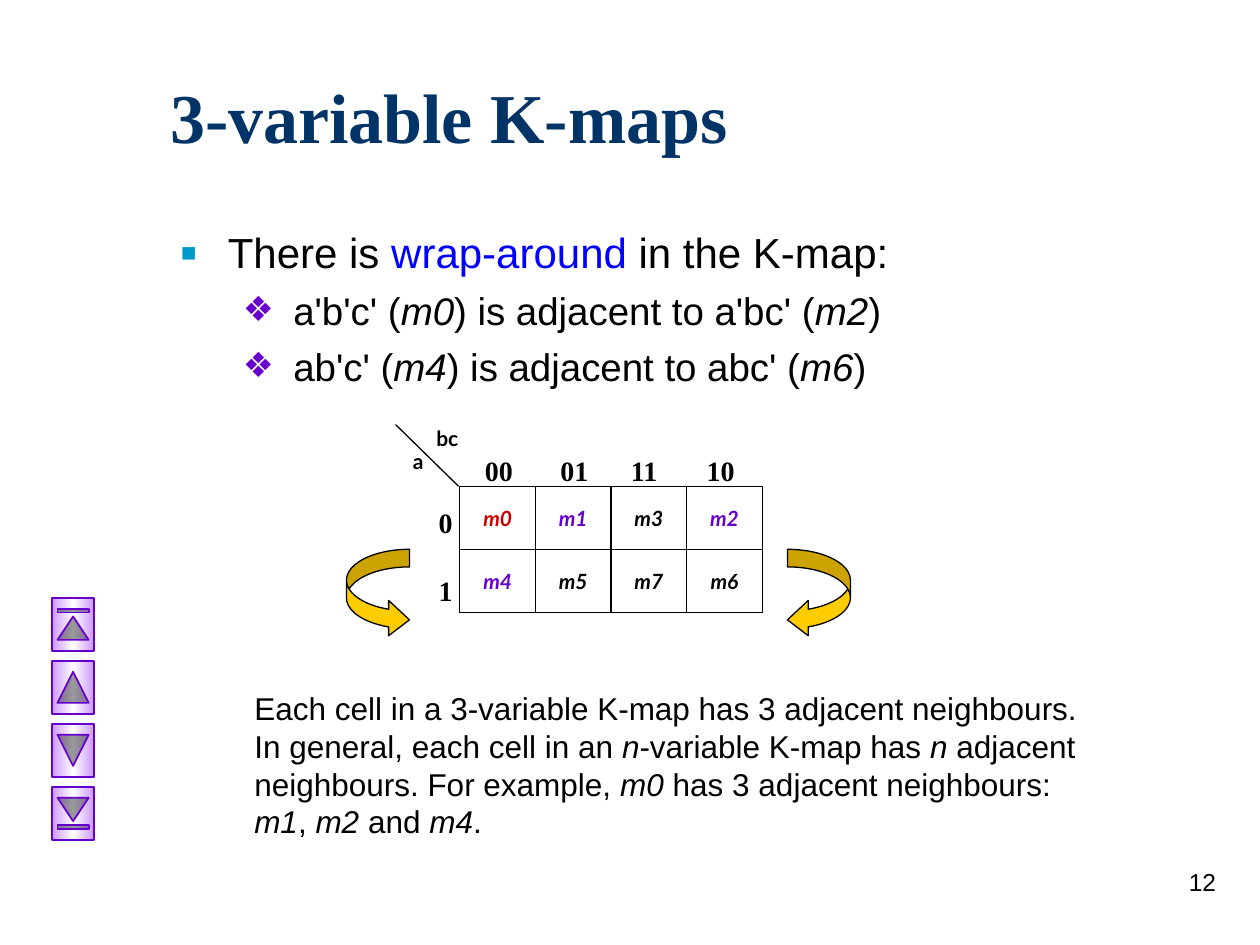
"""Build the slide on wrap-around in 3-variable K-maps."""
from copy import deepcopy
from dataclasses import dataclass

from lxml import etree
from pptx import Presentation
from pptx.dml.color import RGBColor
from pptx.enum.shapes import MSO_CONNECTOR, MSO_SHAPE
from pptx.enum.text import MSO_ANCHOR, MSO_AUTO_SIZE, PP_ALIGN
from pptx.oxml.ns import qn
from pptx.util import Pt

EMU_PER_PX = 9144
LEFT, CENTER, RIGHT = PP_ALIGN.LEFT, PP_ALIGN.CENTER, PP_ALIGN.RIGHT
MIDDLE, NO_FIT = MSO_ANCHOR.MIDDLE, MSO_AUTO_SIZE.NONE
STRAIGHT = MSO_CONNECTOR.STRAIGHT
RECT = MSO_SHAPE.RECTANGLE
ARROWS = (MSO_SHAPE.CURVED_RIGHT_ARROW, MSO_SHAPE.CURVED_LEFT_ARROW)
BUTTONS = (MSO_SHAPE.ACTION_BUTTON_BEGINNING, MSO_SHAPE.ACTION_BUTTON_BACK_OR_PREVIOUS,
           MSO_SHAPE.ACTION_BUTTON_FORWARD_OR_NEXT, MSO_SHAPE.ACTION_BUTTON_END)
TOP_SIDE, LEFT_SIDE, BOTTOM_SIDE, RIGHT_SIDE = range(4)


@dataclass(frozen=True)
class Theme:
    """Fonts, colours and type sizes of the slide."""
    serif: str = "Times New Roman"
    sans: str = "Arial"
    label: str = "Lato"
    navy: str = "003366"
    ink: str = "000000"
    blue: str = "0000FF"
    teal: str = "0099CC"
    purple: str = "6600CC"
    lilac: str = "CC99FF"
    white: str = "FFFFFF"
    red: str = "CC0000"
    gold: str = "FFCC00"
    title: int = 40
    body: int = 24
    sub: int = 22
    note: int = 18
    axis: int = 16
    number: int = 14
    cell: int = 12


def px(n):
    """Turn px into EMU."""
    return n * EMU_PER_PX


def rgb(color):
    """Turn a hex string into a colour."""
    return RGBColor.from_string(color)


class SlideBuilder:
    """Holds the theme and the current slide."""

    def __init__(self, s, theme):
        self.s, self.t = s, theme

    def style(self, p, font, size, color, bold=False, italic=False, align=LEFT):
        """Format a paragraph and all its runs."""
        p.alignment = align
        for r in p.runs:
            r.font.name, r.font.size = font, Pt(size)
            r.font.bold, r.font.italic = bold, italic
            r.font.color.rgb = rgb(color)

    def rich(self, p, marked, size, accent=None):
        """Write text whose *marked* parts are italic, or in the accent colour."""
        for i, part in enumerate(marked.split("*")):
            p.add_run().text = part
        self.style(p, self.t.sans, size, self.t.ink)
        for r in p.runs[1::2]:
            if accent:
                r.font.color.rgb = rgb(accent)
            else:
                r.font.italic = True

    def title(self, text, x, y, w, h):
        """Place and fill the title placeholder."""
        sp = self.s.shapes.title
        sp.left, sp.top, sp.width, sp.height = map(px, (x, y, w, h))
        tf = sp.text_frame
        tf.text = text
        tf.auto_size, tf.vertical_anchor = NO_FIT, MIDDLE
        self.style(tf.paragraphs[0], self.t.serif, self.t.title, self.t.navy, bold=True)

    def box(self, x, y, w, h):
        """Add a wrapping text box and return its frame."""
        tf = self.s.shapes.add_textbox(*map(px, (x, y, w, h))).text_frame
        tf.word_wrap = True
        return tf

    def text(self, text, x, y, w, h, **style):
        """Add a text box in one style and return its frame."""
        tf = self.box(x, y, w, h)
        tf.text = text
        for p in tf.paragraphs:
            self.style(p, **style)
        return tf

    def bullet(self, p, char, color, percent, left, hang):
        """Give a paragraph a coloured bullet with a hanging indent."""
        pPr = p._p.get_or_add_pPr()
        pPr.set("marL", str(px(left)))
        pPr.set("indent", str(-px(hang)))
        clr = etree.SubElement(pPr, qn("a:buClr"))
        etree.SubElement(clr, qn("a:srgbClr"), val=color)
        etree.SubElement(pPr, qn("a:buSzPct"), val=str(percent * 1000))
        etree.SubElement(pPr, qn("a:buFont"), typeface=self.t.sans)
        etree.SubElement(pPr, qn("a:buChar"), char=char)

    def tabs(self, p, stops):
        """Set left tab stops on a paragraph."""
        tab_list = etree.SubElement(p._p.get_or_add_pPr(), qn("a:tabLst"))
        for stop in stops:
            etree.SubElement(tab_list, qn("a:tab"), pos=str(px(stop)), algn="l")

    def shape(self, kind, x, y, w, h, line, width=0.75, fill=None):
        """Add a preset shape, unfilled unless a fill is given."""
        sp = self.s.shapes.add_shape(kind, *map(px, (x, y, w, h)))
        sp.shadow.inherit = False
        sp.line.color.rgb, sp.line.width = rgb(line), Pt(width)
        if fill:
            sp.fill.solid()
            sp.fill.fore_color.rgb = rgb(fill)
        else:
            sp.fill.background()
        return sp

    def button(self, kind, x, y, w, h):
        """Add a navigation button turned by 90 degrees."""
        sp = self.shape(kind, x, y, w, h, self.t.purple, 1)
        sp.rotation = 90
        sp.fill.gradient()
        sp.fill.gradient_angle = 90
        first = sp.fill._xPr.find(qn("a:gradFill")).find(qn("a:gsLst"))[0]
        first.addnext(deepcopy(first))
        colors = (self.t.lilac, self.t.white, self.t.lilac)
        for stop, color, position in zip(sp.fill.gradient_stops, colors, (0, 0.5, 1)):
            stop.color.rgb, stop.position = rgb(color), position

    def line(self, x1, y1, x2, y2):
        """Add a thin straight line."""
        c = self.s.shapes.add_connector(STRAIGHT, *map(px, (x1, y1, x2, y2)))
        c.line.color.rgb, c.line.width = rgb(self.t.ink), Pt(0.75)
        etree.SubElement(c._element.spPr, qn("a:effectLst"))
        return c

    def kmap(self, x, y, col_w, row_h, rows):
        """Draw the map's grid and its minterms."""
        w, h = col_w * len(rows[0]), row_h * len(rows)
        frame = self.shape(RECT, x, y, w, h, self.t.ink)
        across = self.line(x, y + row_h, x + w, y + row_h)
        across.begin_connect(frame, LEFT_SIDE)
        across.end_connect(frame, RIGHT_SIDE)
        downs = [self.line(x + i * col_w, y, x + i * col_w, y + h) for i in (1, 2, 3)]
        downs[1].begin_connect(frame, TOP_SIDE)
        downs[1].end_connect(frame, BOTTOM_SIDE)
        colors = {"m0": self.t.red, **dict.fromkeys(("m1", "m2", "m4"), self.t.purple)}
        for i, row in enumerate(rows):
            for j, name in enumerate(row):
                self.text(name, x + j * col_w, y + 10 + i * row_h, col_w, 40,
                          font=self.t.label, size=self.t.cell, bold=True, italic=True,
                          color=colors.get(name, self.t.ink), align=CENTER)


def main():
    """Build and save the slide."""
    prs = Presentation()
    prs.slide_width, prs.slide_height = px(1000), px(750)
    t = Theme()
    b = SlideBuilder(prs.slides.add_slide(prs.slide_layouts[5]), t)
    b.title("3-variable K-maps", 125, 50, 850, 83)

    tf = b.box(133, 175, 850, 142)
    p = tf.paragraphs[0]
    b.bullet(p, "▪", t.teal, 120, 38, 38)
    b.rich(p, "There is *wrap-around* in the K-map:", t.body, t.blue)
    for marked in ("a'b'c' (*m0*) is adjacent to a'bc' (*m2*)",
                   "ab'c' (*m4*) is adjacent to abc' (*m6*)"):
        p = tf.add_paragraph()
        p.level, p.space_before = 1, Pt(5.5)
        b.bullet(p, "❖", t.purple, 90, 90, 40)
        b.rich(p, marked, t.sub)

    b.kmap(365, 386, 60, 50, (("m0", "m1", "m3", "m2"), ("m4", "m5", "m7", "m6")))
    axis = dict(font=t.serif, size=t.axis, color=t.ink, bold=True)
    tf = b.text("0\n1", 335, 396, 34, 85, align=RIGHT, **axis)
    tf.paragraphs[1].space_before = Pt(20)
    tf = b.text("00\t01\t11\t10", 375, 355, 224, 40, **axis)
    b.tabs(tf.paragraphs[0], (60, 116, 176))
    b.line(364, 386, 314, 337)
    variable = dict(font=t.label, size=t.cell, color=t.ink, bold=True, align=CENTER)
    b.text("a", 310, 351, 44, 40, **variable)
    b.text("bc", 329, 333, 52, 32, **variable)

    for kind, x in zip(ARROWS, (275, 625)):
        sp = b.shape(kind, x, 436, 50, 70, t.ink, fill=t.gold)
        for i, value in enumerate((0.28, 0.56, 0.33)):
            sp.adjustments[i] = value

    b.rich(b.box(192, 542, 683, 133).paragraphs[0],
           "Each cell in a 3-variable K-map has 3 adjacent neighbours. In general, each "
           "cell in an *n*-variable K-map has *n* adjacent neighbours. For example, *m0* "
           "has 3 adjacent neighbours: *m1*, *m2* and *m4*.", t.note)
    for i, kind in enumerate(BUTTONS):
        b.button(kind, 37, 479 + 50 * i, 42, 33)
    b.text("12", 767, 683, 208, 50, font=t.sans, size=t.number, color=t.ink, align=RIGHT)
    prs.save("out.pptx")


if __name__ == "__main__":
    main()
